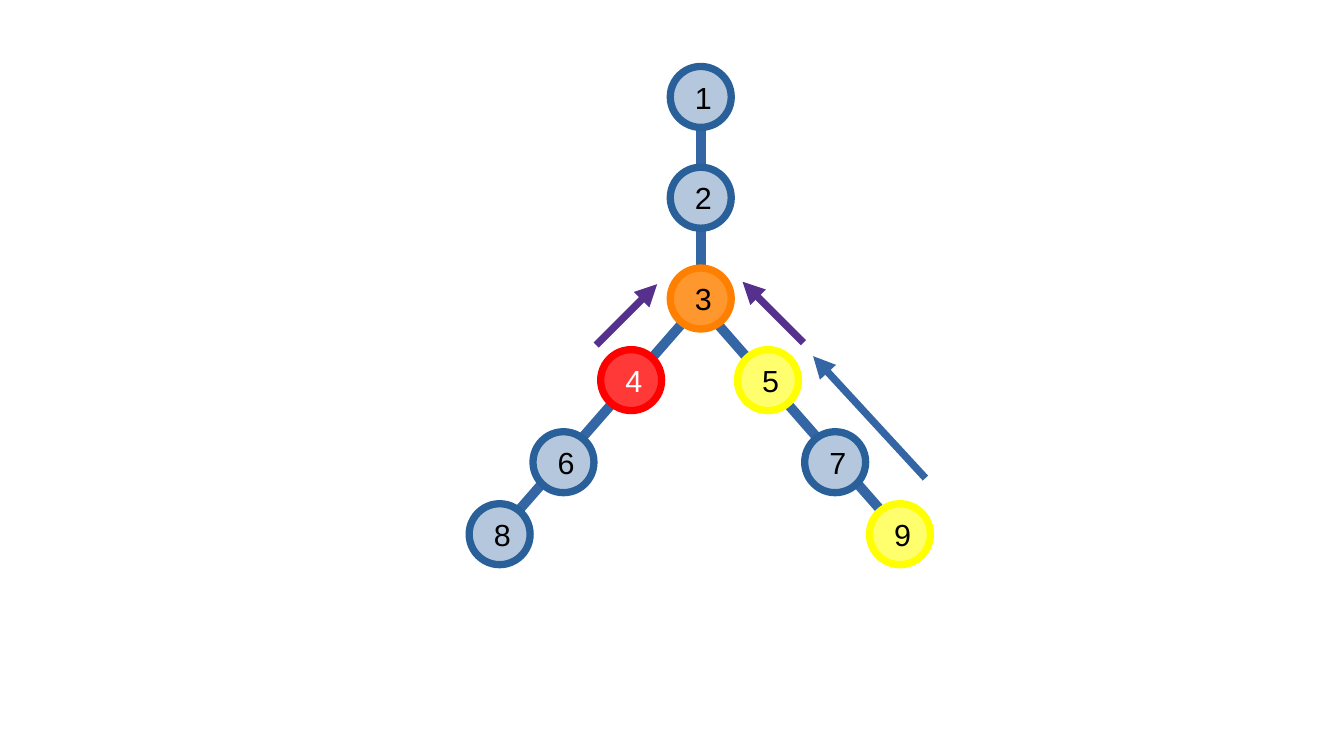
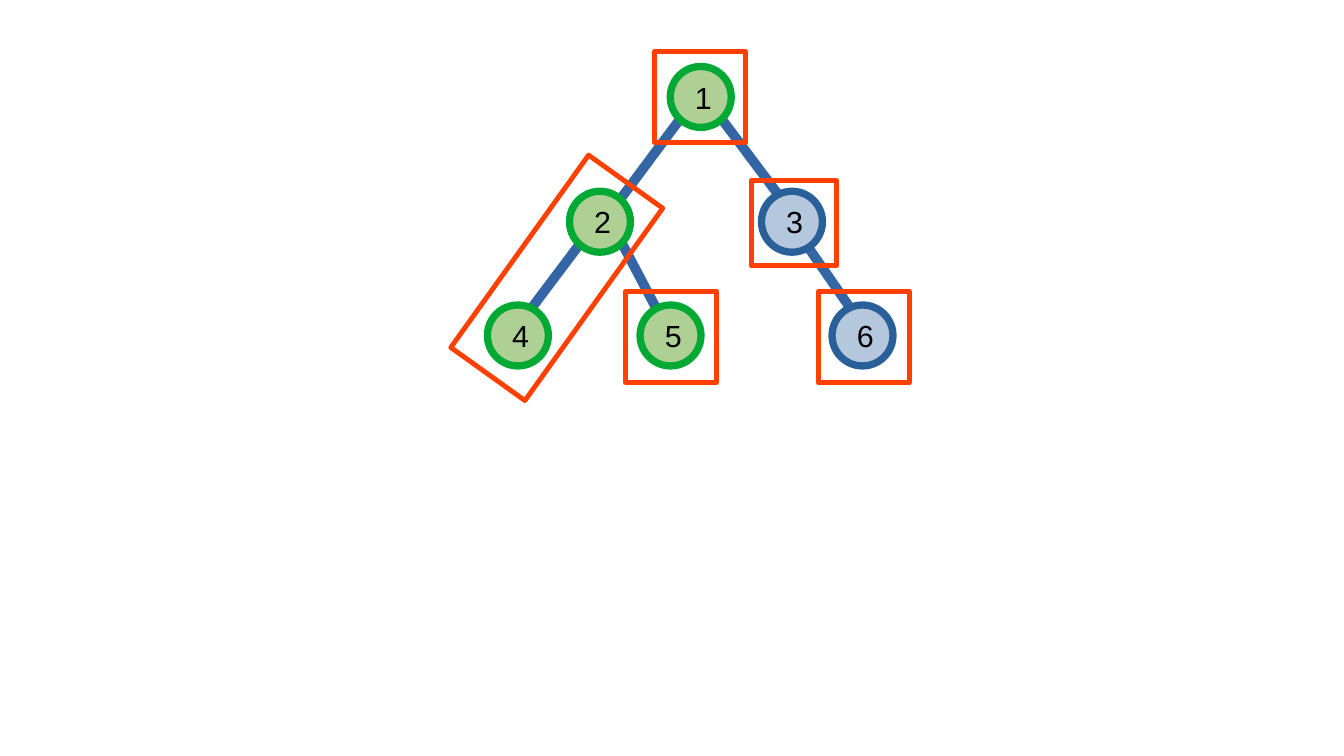
from lxml import etree
from pptx import Presentation
from pptx import util as u
from pptx.dml.color import RGBColor
from pptx.enum import shapes, text
from pptx.oxml import ns

SLIDE_SIZE = (28, 15.75)
NODE_SIZE = 1.27
FRAME_SIZE = 1.9
EDGE_WIDTH = 5.75
ARROW_WIDTH = 4.31
FRAME_WIDTH = 2.89
EDGE_COLOR = "3465A4"
CLIMB_COLOR = "55308D"
FRAME_COLOR = "FF4000"
NODE_STYLES = {
    "plain": ("B4C7DC", "2A6099", "000000"),
    "meeting": ("FF972F", "FF8000", "000000"),
    "target": ("FF3838", "FF0000", "FFFFFF"),
    "climbing": ("FFFF6D", "FFFF00", "000000"),
    "visited": ("AFD095", "00A933", "000000"),
}
TEXT_FRAME_FORMAT = {
    "margin_left": u.Cm(0.33),
    "margin_right": u.Cm(0.33),
    "margin_top": u.Cm(0.2),
    "margin_bottom": u.Cm(0.2),
    "vertical_anchor": text.MSO_ANCHOR.MIDDLE,
    "word_wrap": True,
}
FONT_FORMAT = {"name": "Arial", "size": u.Pt(18), "bold": False}

ANCESTOR_EDGES = [
    ((14.6, 1.9), (14.6, 6.35)),
    ((14.6, 6.35), (19.05, 11.43)),
    ((14.55, 6.35), (10.11, 11.43)),
]
ANCESTOR_NODES = [
    ("3", 14.6, 6.22, "meeting"),
    ("5", 16, 7.92, "climbing"),
    ("9", 18.75, 11.13, "climbing"),
    ("7", 17.4, 9.63, "plain"),
    ("4", 13.15, 7.92, "target"),
    ("8", 10.41, 11.13, "plain"),
    ("6", 11.74, 9.63, "plain"),
    ("1", 14.6, 2.02, "plain"),
    ("2", 14.6, 4.12, "plain"),
]
CLIMB_ARROWS = [
    ((19.28, 9.96), (16.94, 7.42), EDGE_COLOR),
    ((16.74, 7.14), (15.47, 5.87), CLIMB_COLOR),
    ((12.42, 7.19), (13.69, 5.92), CLIMB_COLOR),
]

CHAIN_EDGES = [
    ((16.31, 4.39), (18.11, 6.99)),
    ((12.6, 4.39), (13.97, 6.99)),
    ((12.6, 4.39), (10.69, 6.93)),
    ((14.6, 1.9), (16.51, 4.45)),
    ((14.6, 1.9), (12.7, 4.45)),
]
CHAIN_NODES = [
    ("1", 14.6, 2.02, "visited"),
    ("2", 12.5, 4.62, "visited"),
    ("4", 10.79, 6.99, "visited"),
    ("5", 13.97, 6.99, "visited"),
    ("3", 16.5, 4.62, "plain"),
    ("6", 17.97, 6.99, "plain"),
]
CHAIN_FRAMES = [
    (14.59, 2.02, FRAME_SIZE, FRAME_SIZE, 0),
    (11.6, 5.79, FRAME_SIZE, 4.93, 35.6),
    (13.98, 7.02, FRAME_SIZE, FRAME_SIZE, 0),
    (18, 7.02, FRAME_SIZE, FRAME_SIZE, 0),
    (16.54, 4.65, 1.78, 1.78, 0),
]


def color(value):
    return RGBColor.from_string(value)


def apply_format(target, values):
    for name, value in values.items():
        setattr(target, name, value)


class TreeDeck:
    """Draws trees of numbered nodes on the current slide of a presentation."""

    def __init__(self):
        self.presentation = Presentation()
        self.presentation.slide_width, self.presentation.slide_height = map(u.Cm, SLIDE_SIZE)
        self.slide = None

    def add_slide(self):
        self.slide = self.presentation.slides.add_slide(self.presentation.slide_layouts[6])

    def set_line(self, line, line_color, width):
        line.color.rgb = color(line_color)
        line.width = u.Pt(width)

    def centered_shape(self, kind, center_x, center_y, width, height):
        shape = self.slide.shapes.add_shape(
            kind,
            u.Cm(center_x - width / 2),
            u.Cm(center_y - height / 2),
            u.Cm(width),
            u.Cm(height),
        )
        shape.shadow.inherit = False
        return shape

    def edge(self, start, end, line_color=EDGE_COLOR, width=EDGE_WIDTH):
        points = [u.Cm(value) for value in (*start, *end)]
        connector = self.slide.shapes.add_connector(shapes.MSO_CONNECTOR.STRAIGHT, *points)
        self.set_line(connector.line, line_color, width)
        etree.SubElement(connector.element.spPr, ns.qn("a:effectLst"))
        return connector

    def arrow(self, start, end, line_color):
        connector = self.edge(start, end, line_color, ARROW_WIDTH)
        line = connector.element.spPr.find(ns.qn("a:ln"))
        etree.SubElement(line, ns.qn("a:tailEnd"), type="triangle")

    def node(self, label, center_x, center_y, style):
        fill_color, line_color, text_color = NODE_STYLES[style]
        shape = self.centered_shape(
            shapes.MSO_SHAPE.OVAL, center_x, center_y, NODE_SIZE, NODE_SIZE
        )
        shape.fill.solid()
        shape.fill.fore_color.rgb = color(fill_color)
        self.set_line(shape.line, line_color, ARROW_WIDTH)
        apply_format(shape.text_frame, TEXT_FRAME_FORMAT)
        paragraph = shape.text_frame.paragraphs[0]
        paragraph.alignment = text.PP_ALIGN.CENTER
        run = paragraph.add_run()
        run.text = label
        apply_format(run.font, FONT_FORMAT)
        run.font.color.rgb = color(text_color)

    def frame(self, center_x, center_y, width, height, rotation):
        shape = self.centered_shape(
            shapes.MSO_SHAPE.RECTANGLE, center_x, center_y, width, height
        )
        shape.rotation = rotation
        shape.fill.background()
        self.set_line(shape.line, FRAME_COLOR, FRAME_WIDTH)

    def tree(self, edges, nodes):
        self.add_slide()
        for edge in edges:
            self.edge(*edge)
        for node in nodes:
            self.node(*node)


def main():
    deck = TreeDeck()
    deck.tree(ANCESTOR_EDGES, ANCESTOR_NODES)
    for arrow in CLIMB_ARROWS:
        deck.arrow(*arrow)
    deck.tree(CHAIN_EDGES, CHAIN_NODES)
    for frame in CHAIN_FRAMES:
        deck.frame(*frame)
    deck.presentation.save("out.pptx")


if __name__ == "__main__":
    main()
